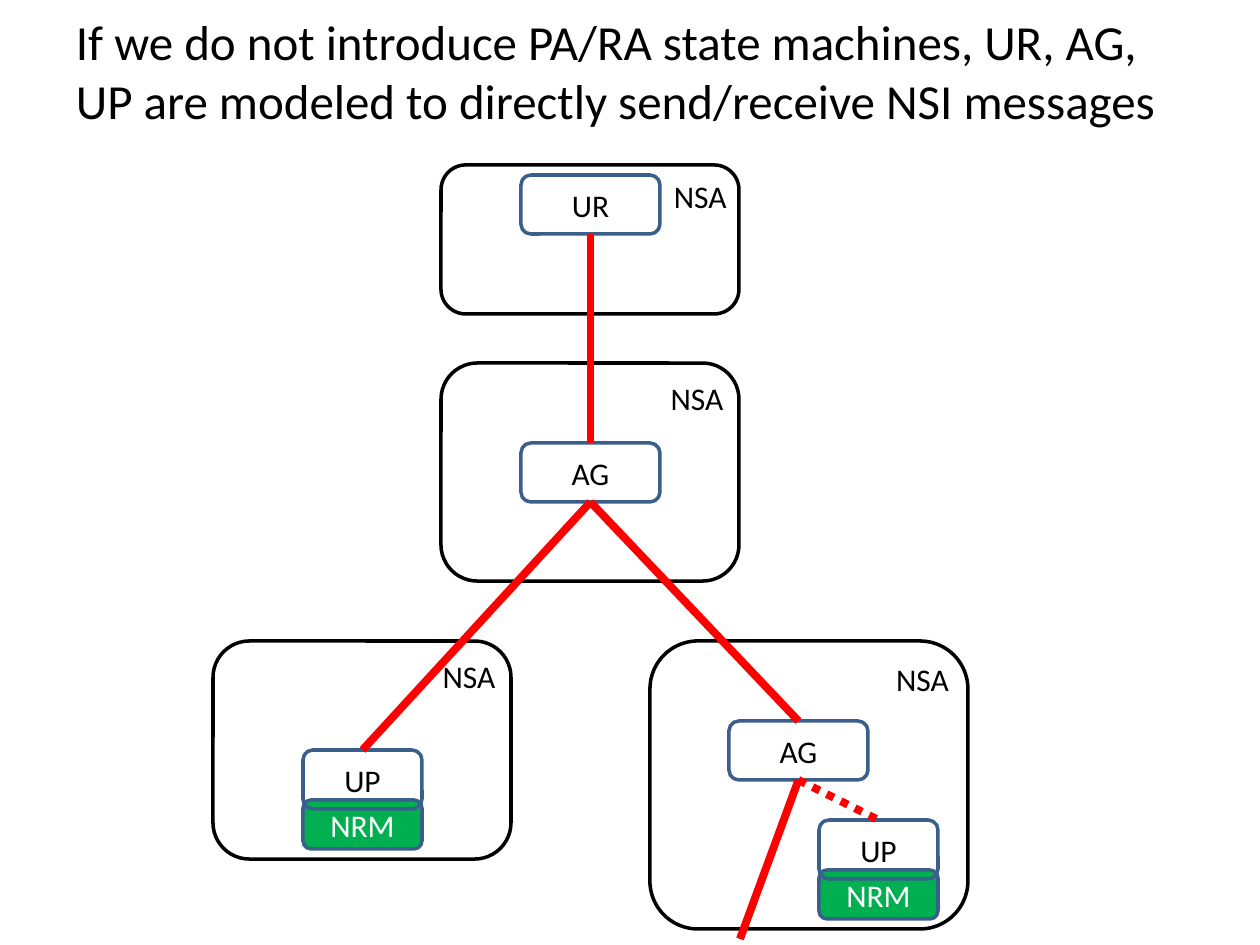
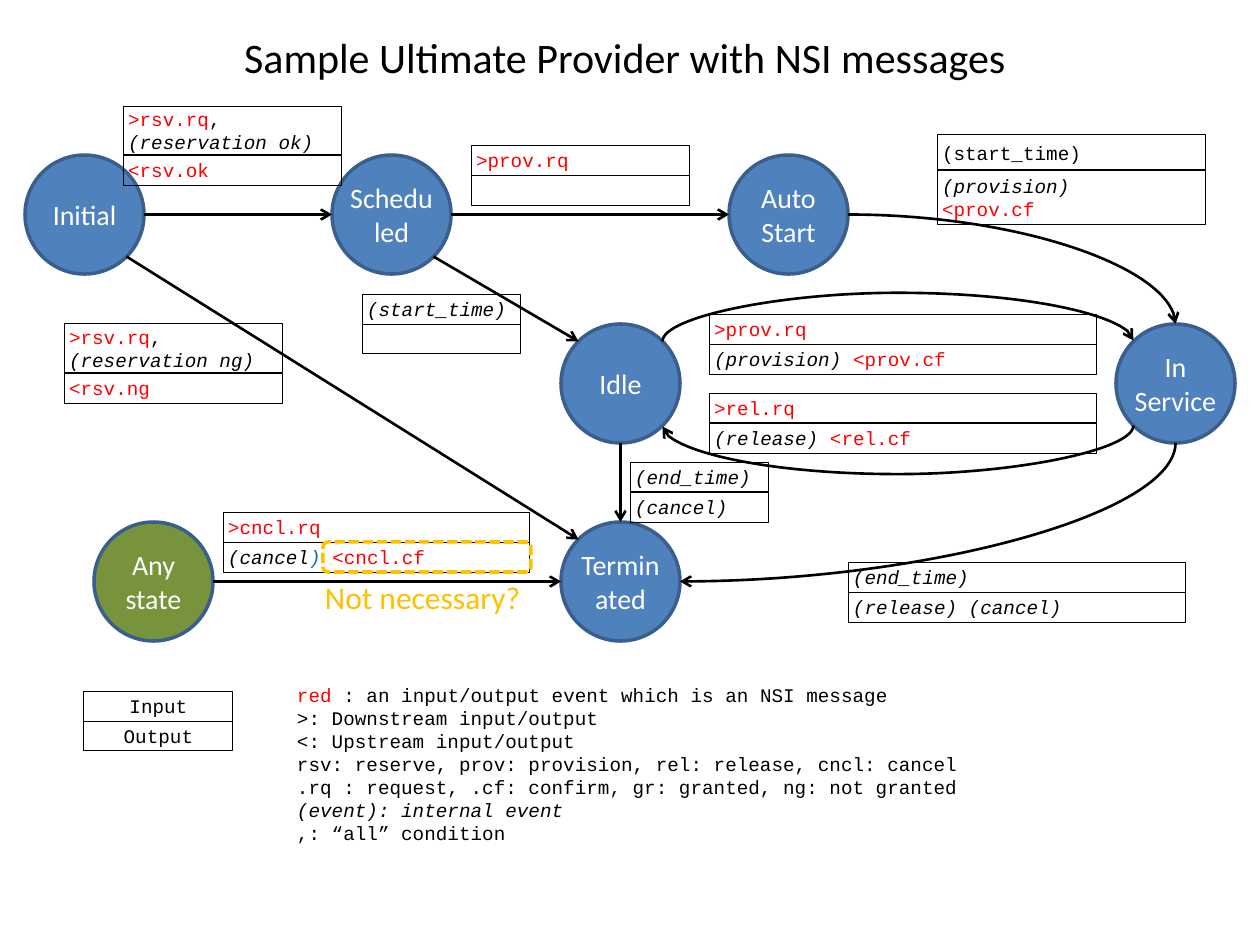
from math import cos, radians, sin

from lxml import etree
from pptx import Presentation
from pptx import util as u
from pptx.dml.color import RGBColor
from pptx.enum import dml, shapes, text
from pptx.oxml.ns import qn

BLACK, WHITE, RED = "000000", "FFFFFF", "FF0000"
BLUE, OLIVE, EDGE = "4F81BD", "77933C", "3A5F8C"
GREEN, AMBER, CYAN = "00B050", "FFC000", "0070C0"
SANS, MONO = "Calibri", "Courier New"
CIRCLE, ROW, TALL_ROW = 119, 30, 49
LEFT, CENTER, RIGHT = text.PP_ALIGN.LEFT, text.PP_ALIGN.CENTER, text.PP_ALIGN.RIGHT
TOP, MIDDLE = text.MSO_ANCHOR.TOP, text.MSO_ANCHOR.MIDDLE
ROUND, RECT, OVAL = (shapes.MSO_SHAPE.ROUNDED_RECTANGLE, shapes.MSO_SHAPE.RECTANGLE,
                     shapes.MSO_SHAPE.OVAL)
DOTS, DASHES = dml.MSO_LINE.ROUND_DOT, dml.MSO_LINE.SQUARE_DOT


def px(n):
    return u.Emu(round(n * 914400 / 126))


def rgb(value):
    return RGBColor.from_string(value)


def write(tf, paras, size=18, font=SANS, color=BLACK, align=LEFT, anchor=TOP,
          insets=(5, 5), wrap=True):
    tf.word_wrap = wrap
    tf.vertical_anchor = anchor
    tf.margin_left = tf.margin_right = px(insets[0])
    tf.margin_top = tf.margin_bottom = px(insets[1])
    for i, runs in enumerate([paras] if isinstance(paras, str) else paras):
        p = tf.add_paragraph() if i else tf.paragraphs[0]
        p.alignment = align
        for run in [runs] if isinstance(runs, str) else runs:
            words, style = (run, {}) if isinstance(run, str) else run
            r = p.add_run()
            r.text = words
            r.font.size, r.font.name = u.Pt(size), font
            r.font.italic = style.get("italic", False)
            r.font.color.rgb = rgb(style.get("color", color))


def red(words):
    return words, {"color": RED}


def italic(words, color=BLACK):
    return words, {"italic": True, "color": color}


def site(circle, idx):
    r = circle.width / 2
    angle = radians(45 * idx)
    return (round(circle.left + r - r * sin(angle)),
            round(circle.top + r - r * cos(angle)))


class Deck:
    def __init__(self):
        self.prs = Presentation()
        self.prs.slide_width, self.prs.slide_height = px(1260), px(945)

    def new_slide(self):
        self.s = self.prs.slides.add_slide(self.prs.slide_layouts[6])

    def shape(self, kind, x, y, w, h, paras=None, fill=None, edge=EDGE, width=2,
              dash=None, parent=None, **fmt):
        sp = (parent or self.s).shapes.add_shape(kind, px(x), px(y), px(w), px(h))
        sp.shadow.inherit = False
        if fill:
            sp.fill.solid()
            sp.fill.fore_color.rgb = rgb(fill)
        else:
            sp.fill.background()
        sp.line.color.rgb = rgb(edge)
        sp.line.width = u.Pt(width)
        if dash:
            sp.line.dash_style = dash
        if paras:
            write(sp.text_frame, paras, **fmt)
        return sp

    def label(self, x, y, w, h, paras, insets=(13, 6), **fmt):
        sp = self.s.shapes.add_textbox(px(x), px(y), px(w), px(h))
        write(sp.text_frame, paras, insets=insets, **fmt)

    def agent(self, x, y, w, h):
        self.shape(ROUND, x, y, w, h, "NSA", edge=BLACK, align=RIGHT)

    def box(self, x, y, w, name, h=59, **look):
        return self.shape(ROUND, x, y, w, h, name, align=CENTER, anchor=MIDDLE, **look)

    def provider(self, x, y):
        self.box(x, y + 50, 119, "NRM", h=49, fill=GREEN, color=WHITE)
        return self.box(x, y, 119, "UP")

    def state(self, x, y, paras, fill=BLUE):
        return self.shape(OVAL, x, y, CIRCLE, CIRCLE, paras, fill=fill, size=16,
                          color=WHITE, align=CENTER, anchor=MIDDLE, insets=(0, 0))

    def event(self, x, y, w, *rows, heights=(ROW, ROW), align=LEFT):
        group = self.s.shapes.add_group_shape()
        for paras, h in zip(rows, heights):
            self.shape(RECT, x, y, w, h, paras, edge=BLACK, width=0.5, parent=group,
                       size=11, font=MONO, align=align, anchor=MIDDLE, insets=(5, 0))
            y += h

    def connector(self, kind, start, end, color, width, dash=None):
        c = self.s.shapes.add_connector(kind, *start, *end)
        c.line.color.rgb = rgb(color)
        c.line.width = u.Pt(width)
        if dash:
            c.line.dash_style = dash
        etree.SubElement(c._element.spPr, qn("a:effectLst"))
        return c

    def link(self, upper, lower=None, end=(0, 0), dash=None):
        c = self.connector(shapes.MSO_CONNECTOR.STRAIGHT, (0, 0), map(px, end),
                           RED, 4.5, dash)
        c.begin_connect(upper, 2)
        if lower:
            c.end_connect(lower, 0)

    def arrow(self, source, i, target, j, preset=None, turned=False, bulge=None):
        start, end = site(source, i), site(target, j)
        if bulge:
            end = (end[0], start[1] + (px(1) if bulge > 0 else -px(1)))
        if turned:
            cx, cy = (start[0] + end[0]) // 2, (start[1] + end[1]) // 2
            start, end = [(cx + y - cy, cy - x + cx) for x, y in (start, end)]
        kind = shapes.MSO_CONNECTOR.CURVE if preset else shapes.MSO_CONNECTOR.STRAIGHT
        c = self.connector(kind, start, end, BLACK, 1.5)
        pr = c._element.spPr
        etree.SubElement(pr.find(qn("a:ln")), qn("a:tailEnd"), type="arrow")
        if turned:
            pr.find(qn("a:xfrm")).set("rot", "5400000")
        if preset:
            geom = pr.find(qn("a:prstGeom"))
            geom.set("prst", preset)
            if bulge:
                etree.SubElement(geom.find(qn("a:avLst")), qn("a:gd"), name="adj1",
                                 fmla=f"val {abs(bulge) * 100000}")
        ends = c._element.find(".//" + qn("p:cNvCxnSpPr"))
        for tag, circle, idx in (("a:stCxn", source, i), ("a:endCxn", target, j)):
            etree.SubElement(ends, qn(tag), id=str(circle.shape_id), idx=str(idx))


def agents_slide(d):
    d.new_slide()
    d.agent(441, 165, 298, 149)
    d.agent(441, 363, 298, 218)
    d.agent(213, 641, 298, 218)
    d.agent(650, 641, 318, 288)
    requester = d.box(521, 175, 139, "UR")
    aggregator = d.box(521, 443, 139, "AG")
    lower_aggregator = d.box(729, 721, 139, "AG")
    left_provider = d.provider(303, 750)
    right_provider = d.provider(819, 820)
    d.link(requester, aggregator)
    d.link(aggregator, left_provider)
    d.link(aggregator, lower_aggregator)
    d.link(lower_aggregator, end=(740, 939))
    d.link(lower_aggregator, right_provider, dash=DOTS)
    d.label(63, 6, 1134, 149, "If we do not introduce PA/RA state machines, UR, AG, "
            "UP are modeled to directly send/receive NSI messages", size=28)


def states_slide(d):
    d.new_slide()
    initial = d.state(25, 155, "Initial")
    scheduled = d.state(332, 155, "Scheduled")
    auto_start = d.state(729, 155, ["Auto", "Start"])
    idle = d.state(561, 324, "Idle")
    in_service = d.state(1116, 324, ["In", "Service"])
    terminated = d.state(561, 522, "Terminated")
    any_state = d.state(94, 522, ["Any", "state"], fill=OLIVE)

    for source, i, target, j in ((initial, 6, scheduled, 2), (scheduled, 6, auto_start, 2),
                                 (scheduled, 5, idle, 1), (idle, 4, terminated, 0),
                                 (initial, 5, terminated, 1), (any_state, 6, terminated, 2)):
        d.arrow(source, i, target, j)
    d.arrow(idle, 7, in_service, 1, "curvedConnector3", turned=True, bulge=-49)
    d.arrow(in_service, 3, idle, 5, "curvedConnector3", turned=True, bulge=49)
    d.arrow(in_service, 4, terminated, 6, "curvedConnector2", turned=True)
    d.arrow(auto_start, 6, in_service, 0, "curvedConnector2")

    for x, y, result in ((123, 106, "ok"), (64, 324, "ng")):
        d.event(x, y, 218, [[red(">rsv.rq"), ", ", italic(f"(reservation {result})")]],
                [[red(f"<rsv.{result}")]], heights=(TALL_ROW, ROW))
    for y, short, full in ((314, "prov", "provision"), (393, "rel", "release")):
        d.event(709, y, 387, [[red(f">{short}.rq")]],
                [[italic(f"({full}) "), red(f"<{short}.cf")]])
    d.event(471, 145, 218, [[red(">prov.rq")]], None)
    d.event(937, 135, 268, "(start_time)", [[italic("(provision)")], [red("<prov.cf")]],
            heights=(35, 54))
    d.event(362, 294, 159, [[italic("(start_time)")]], None)
    d.event(630, 462, 139, [[italic("(end_time)")]], [[italic("(cancel)")]])
    d.event(848, 562, 338, [[italic("(end_time)")]], [[italic("(release) (cancel)")]])
    d.event(223, 512, 307, [[red(">cncl.rq")]],
            [[italic("(cancel"), italic(") ", CYAN), red("<cncl.cf")]])
    d.event(84, 691, 149, "Input", "Output", align=CENTER)

    d.shape(ROUND, 323, 542, 208, ROW, edge=AMBER, dash=DASHES)
    d.label(312, 572, 228, 50, "Not necessary?", color=AMBER)
    d.label(228, 26, 794, 63, "Sample Ultimate Provider with NSI messages",
            size=24, align=CENTER, wrap=False)
    d.label(292, 683, 873, 164, [
        [red("red"), " : an input/output event which is an NSI message"],
        ">: Downstream input/output",
        "<: Upstream input/output",
        "rsv: reserve, prov: provision, rel: release, cncl: cancel",
        ".rq : request, .cf: confirm, gr: granted, ng: not granted",
        [italic("(event): internal event")],
        ",: “all” condition",
    ], size=11, font=MONO, insets=(5, 0))


def main():
    d = Deck()
    agents_slide(d)
    states_slide(d)
    d.prs.save("out.pptx")


if __name__ == "__main__":
    main()
